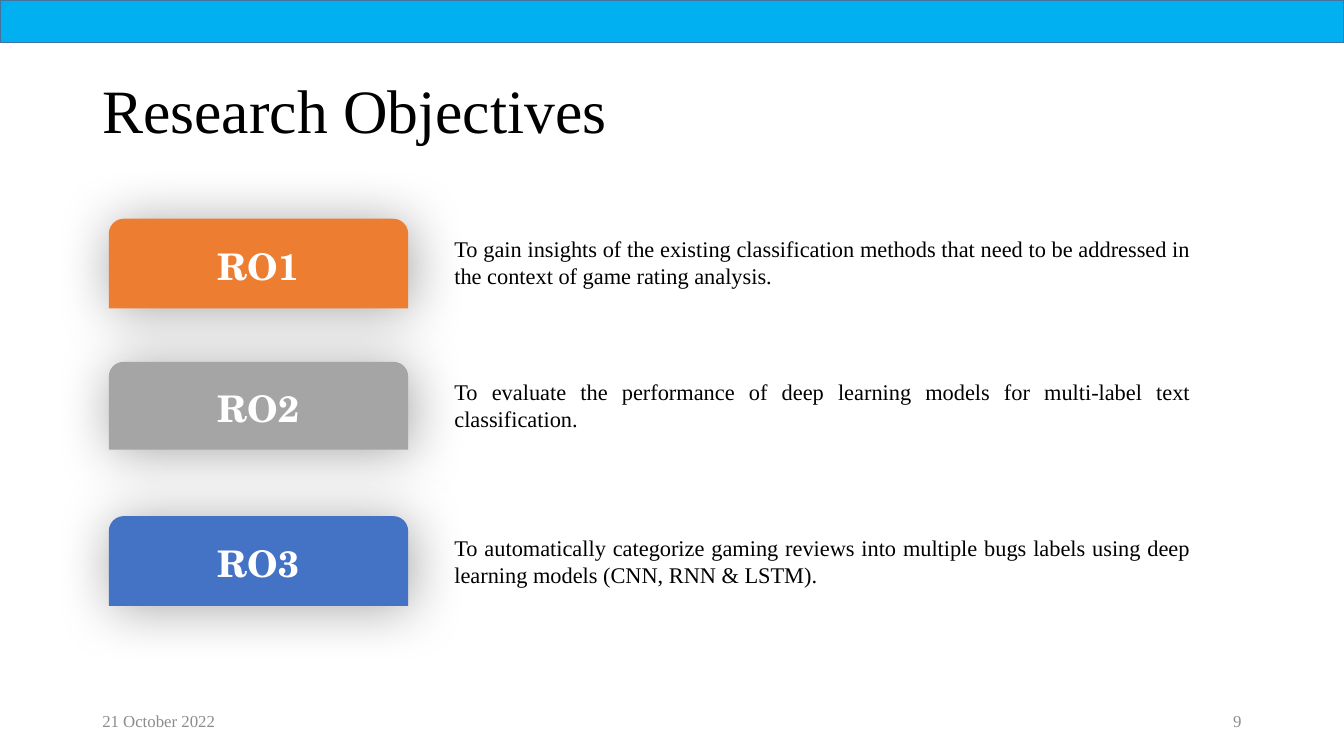
from lxml import etree
from pptx import Presentation
from pptx import util as u
from pptx.dml.color import RGBColor
from pptx.enum import shapes, text
from pptx.oxml.ns import qn

COLORS = {
    "bar": "00B0F0", "bar_line": "43739E", "black": "000000", "white": "FFFFFF",
    "footer": "8C8C8C", "orange": "ED7D31", "gray": "A5A5A5", "blue": "4472C4",
}
SERIF = "Times New Roman"
SCHOLA = "TeX Gyre Schola"
CARD_X, CARD_W = 77.76, 213.84
TEXT_X, TEXT_W = 317.5, 540
OBJECTIVES = [
    ("RO1", "orange", 156.24, 64.08, 164.16, 65.52, 4.5,
     "To gain insights of the existing classification methods that need to be "
     "addressed in the context of game rating analysis."),
    ("RO2", "gray", 258.48, 62.64, 266.4, 46.08, 0,
     "To evaluate the performance of deep learning models for multi-label text "
     "classification."),
    ("RO3", "blue", 368.64, 64.08, 378, 46.08, 4.5,
     "To automatically categorize gaming reviews into multiple bugs labels using "
     "deep learning models (CNN, RNN & LSTM)."),
]


def rgb(name):
    """Return the named colour."""
    return RGBColor.from_string(COLORS[name])


def write(sp, words, size, color, font=SERIF, bold=False,
          align=text.PP_ALIGN.LEFT, anchor=text.MSO_ANCHOR.MIDDLE):
    """Write one formatted run in a shape and return its paragraph."""
    tf = sp.text_frame
    tf.word_wrap = True
    tf.vertical_anchor = anchor
    p = tf.paragraphs[0]
    p.alignment = align
    r = p.add_run()
    r.text = words
    r.font.size = u.Pt(size)
    r.font.name = font
    r.font.bold = bold
    r.font.color.rgb = rgb(color)
    return p


def add_box(s, x, y, w, h):
    """Add an empty text box."""
    return s.shapes.add_textbox(u.Pt(x), u.Pt(y), u.Pt(w), u.Pt(h))


def add_filled(s, kind, color, x, y, w, h):
    """Add a filled shape without outline or inherited shadow."""
    sp = s.shapes.add_shape(kind, u.Pt(x), u.Pt(y), u.Pt(w), u.Pt(h))
    sp.shadow.inherit = False
    sp.fill.solid()
    sp.fill.fore_color.rgb = rgb(color)
    sp.line.fill.background()
    return sp


def add_shadow(sp):
    """Give a shape a wide soft shadow."""
    effects = sp._element.spPr.find(qn("a:effectLst"))
    shadow = etree.SubElement(
        effects, qn("a:outerShdw"), blurRad=str(u.Pt(40)), dist=str(u.Pt(3)),
        dir=str(45 * 60000), algn="ctr", rotWithShape="0")
    color = etree.SubElement(shadow, qn("a:srgbClr"), val=COLORS["black"])
    etree.SubElement(color, qn("a:alpha"), val="35000")


def add_header(s, x, y, w, h):
    """Add the top bar and the title in the given band."""
    bar = add_filled(s, shapes.MSO_SHAPE.RECTANGLE, "bar", x, y, w, 30.24)
    bar.line.color.rgb = rgb("bar_line")
    bar.line.width = u.Pt(1)
    title = add_box(s, x + 66, y + 28.8, w - 132, h - 28.8)
    write(title, "Research Objectives", 44, "black").line_spacing = 0.9


def add_card(s, label, color, x, y, w, h):
    """Add a labelled objective card."""
    sp = add_filled(s, shapes.MSO_SHAPE.ROUND_2_SAME_RECTANGLE, color, x, y, w, h)
    add_shadow(sp)
    write(sp, label, 26.2, "white", SCHOLA, True, text.PP_ALIGN.CENTER)


def add_objective(s, words, before, x, y, w, h):
    """Add the justified wording of an objective."""
    sp = add_box(s, x, y, w, h)
    p = write(sp, words, 16, "black", align=text.PP_ALIGN.JUSTIFY,
              anchor=text.MSO_ANCHOR.TOP)
    p.space_before = u.Pt(before)
    sp.text_frame.auto_size = text.MSO_AUTO_SIZE.SHAPE_TO_FIT_TEXT


def add_footer(s, x, y, w, h):
    """Add the date and page number at the ends of the given band."""
    write(add_box(s, x, y, 216, h), "21 October 2022", 12, "footer")
    write(add_box(s, x + w - 216, y, 216, h), "9", 12, "footer",
          align=text.PP_ALIGN.RIGHT)


def main():
    """Build and save the slide."""
    prs = Presentation()
    prs.slide_width, prs.slide_height = u.Pt(960), u.Pt(540)
    s = prs.slides.add_slide(prs.slide_layouts[6])
    add_header(s, 0, 0, 960, 133.2)
    add_footer(s, 66, 500.5, 828, 28.75)
    for label, color, y, h, text_y, text_h, before, words in OBJECTIVES:
        add_card(s, label, color, CARD_X, y, CARD_W, h)
        add_objective(s, words, before, TEXT_X, text_y, TEXT_W, text_h)
    prs.save("out.pptx")


if __name__ == "__main__":
    main()
